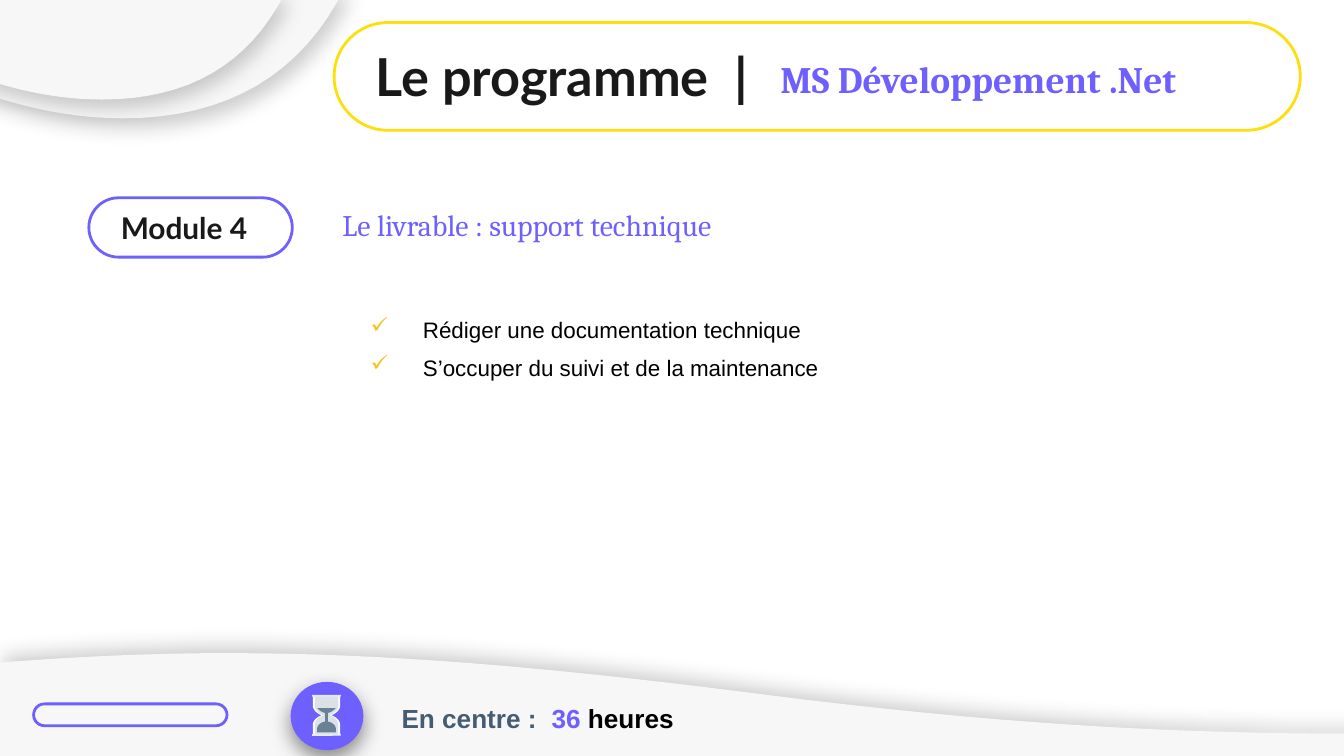
from lxml.etree import SubElement as Sub
from pptx import Presentation
from pptx.dml.color import RGBColor as RGB
from pptx.enum.shapes import MSO_SHAPE as Kind
from pptx.enum.text import MSO_ANCHOR as Anchor, PP_ALIGN as Align
from pptx.oxml.ns import qn
from pptx.util import Pt

PURPLE = RGB(0x6E, 0x5F, 0xFF)
YELLOW = RGB(0xFD, 0xDF, 0x0D)
GOLD = RGB(0xFB, 0xC3, 0x1E)
INK = RGB(0x19, 0x19, 0x19)
BLACK = RGB(0, 0, 0)
SLATE = RGB(0x44, 0x5D, 0x73)
PALE = RGB(0xF7, 0xF7, 0xF7)
RIM = RGB(0xFC, 0xFD, 0xFD)
GLASS = RGB(0xDB, 0xE2, 0xE7)
CAP = RGB(0xE5, 0xEB, 0xEE)
SAND = RGB(0x68, 0x81, 0x95)

deck = Presentation()
deck.slide_width, deck.slide_height = Pt(720), Pt(405)
slide = deck.slides.add_slide(deck.slide_layouts[6])
shapes = slide.shapes


def outline(fill, start, *steps):
    """Fill a closed shape; a step is a line (x, y) or a cubic curve of six numbers."""
    spots = [start]
    for step in steps:
        if len(step) == 2:
            spots.append(step)
            continue
        x, y = spots[-1]
        a, b, c, d, e, f = step
        for i in range(1, 17):
            t = i / 16
            u = 1 - t
            k = u**3, 3 * u * u * t, 3 * u * t * t, t**3
            spots.append((k[0] * x + k[1] * a + k[2] * c + k[3] * e,
                          k[0] * y + k[1] * b + k[2] * d + k[3] * f))
    ends = [(Pt(x), Pt(y)) for x, y in spots]
    pen = shapes.build_freeform(*ends[0])
    pen.add_line_segments(ends[1:])
    form = pen.convert_to_shape()
    form.fill.solid()
    form.fill.fore_color.rgb = fill
    form.line.fill.background()
    form.shadow.inherit = False
    return form


def label(box, lines, font, size, bold=False, align=Align.LEFT, anchor=Anchor.TOP):
    """Add a text box; each line is a list of (text, colour) runs."""
    frame = shapes.add_textbox(*map(Pt, box)).text_frame
    frame.word_wrap = True
    frame.vertical_anchor = anchor
    frame.margin_left = frame.margin_right = Pt(7.2)
    frame.margin_top = frame.margin_bottom = Pt(7.2)
    for i, line in enumerate(lines):
        para = frame.add_paragraph() if i else frame.paragraphs[0]
        para.alignment = align
        for text, color in line:
            run = para.add_run()
            run.text = text
            run.font.name, run.font.size, run.font.bold = font, Pt(size), bold
            run.font.color.rgb = color
    return frame


# Wave along the bottom and curved corner
wave = outline(PALE, (0, 355), (41, 351.7, 81.4, 349.9, 122.4, 349.9),
               (208.8, 349.9, 295.2, 357.8, 393.8, 370.1),
               (504, 384.5, 604.8, 393.1, 725.8, 393.1),
               (725.8, 399.6), (0, 401.8))
base = shapes.add_shape(Kind.RECTANGLE, 0, Pt(396), Pt(724), Pt(16))
large = outline(PALE, (-11.5, -13), (185, -7.2),
                (162, 40.3, 121, 63.4, 66.2, 63.4),
                (40.3, 63.4, 14.4, 58.3, -11.5, 49))
small = outline(PALE, (-12.2, -8), (152.6, -3.6),
                (133.2, 34.6, 100.8, 53.3, 54.7, 53.3),
                (32.4, 53.3, 10.1, 49, -12.2, 41))

# Rounded frames
for box, color in [((18, 377.1, 103.6, 11.7), PURPLE),
                   ((47.6, 106, 109, 31.8), PURPLE),
                   ((179, 12.1, 517.6, 57.7), YELLOW)]:
    pill = shapes.add_shape(Kind.ROUNDED_RECTANGLE, *map(Pt, box))
    pill.adjustments[0] = 0.5
    pill.fill.background()
    pill.line.color.rgb, pill.line.width = color, Pt(1.5)
    pill.shadow.inherit = False

# Hourglass badge
badge = shapes.add_shape(Kind.OVAL, Pt(155.7), Pt(365.3), Pt(39), Pt(36.6))
mid = 174.9
for half, neck, fill in [(7.3, 2.6, RIM), (6.2, 1.6, GLASS)]:
    left, right = mid - half, mid + half
    outline(fill, (left, 373), (right, 373), (right, 378),
            (right, 380.2, mid + half * 0.7, 382.3, mid + neck, 383.2),
            (mid + half * 0.7, 384.1, right, 386, right, 388.3),
            (right, 393.8), (left, 393.8), (left, 388.3),
            (left, 386, mid - half * 0.7, 384.1, mid - neck, 383.2),
            (mid - half * 0.7, 382.3, left, 380.2, left, 378))
caps = [shapes.add_shape(Kind.ROUNDED_RECTANGLE, Pt(mid - 7.7), Pt(y), Pt(15.4), Pt(0.9))
        for y in (372.3, 393.3)]
outline(SAND, (mid - 4.9, 379.4), (mid + 4.9, 379.4),
        (mid + 4, 380.5, mid + 2.6, 381.5, mid + 0.7, 382), (mid + 0.7, 386.6),
        (mid + 2.9, 386.8, mid + 5, 388.6, mid + 5, 390.4),
        (mid + 5, 392.4), (mid - 5, 392.4), (mid - 5, 390.4),
        (mid - 5, 388.6, mid - 2.9, 386.8, mid - 0.7, 386.6), (mid - 0.7, 382),
        (mid - 2.6, 381.5, mid - 4, 380.5, mid - 4.9, 379.4))

for form, fill in [(base, PALE), (badge, PURPLE)] + [(cap, CAP) for cap in caps]:
    form.fill.solid()
    form.fill.fore_color.rgb = fill
    form.line.fill.background()
    form.shadow.inherit = False

# Soft shadows: colour, opacity in percent, distance, angle
for form, color, alpha, dist, angle in [(wave, BLACK, 20, 3.8, 291),
                                        (large, BLACK, 20, 6, 59),
                                        (small, BLACK, 20, 5.2, 59),
                                        (badge, INK, 51, 4.5, 90)]:
    glow = Sub(form._element.spPr.find(qn("a:effectLst")), qn("a:outerShdw"),
               blurRad=str(Pt(11.2)), dist=str(Pt(dist)), dir=str(angle * 60000),
               algn="ctr", rotWithShape="0")
    tint = Sub(glow, qn("a:srgbClr"), val=str(color))
    Sub(tint, qn("a:alpha"), val=str(alpha * 1000))

# Texts
label((180.7, 16.6, 240.5, 44.6), [[("Le programme  |", INK)]],
      "Lato", 28, True, Align.CENTER)
label((411, 23, 295, 44.6), [[("MS Développement .Net", PURPLE)]], "Cambria", 20, True)
label((55.4, 106, 86.4, 31.8), [[("Module 4", INK)]],
      "Lato", 16, True, Align.CENTER, Anchor.MIDDLE)
label((176.4, 103.7, 486.7, 33.8), [[("Le livrable : support technique", PURPLE)]],
      "Cambria", 16, anchor=Anchor.MIDDLE)
hours = label((208, 360.7, 165, 36.7),
              [[("En centre :  ", SLATE), ("36", PURPLE), (" heures", BLACK)]],
              "Arial", 14, True)
hours.paragraphs[0].line_spacing = 1.5

goals = label((191.5, 144, 486.7, 85),
              [[("Rédiger une documentation technique", BLACK)],
               [("S’occuper du suivi et de la maintenance", BLACK)]],
              "Arial", 12, align=Align.JUSTIFY, anchor=Anchor.MIDDLE)
for para in goals.paragraphs:
    para.space_after = Pt(6)
    props = para._p.get_or_add_pPr()
    props.set("marL", str(Pt(28)))
    props.set("indent", str(Pt(-28)))
    Sub(Sub(props, qn("a:buClr")), qn("a:srgbClr"), val=str(GOLD))
    Sub(props, qn("a:buChar"), char="✓")

deck.save("out.pptx")
